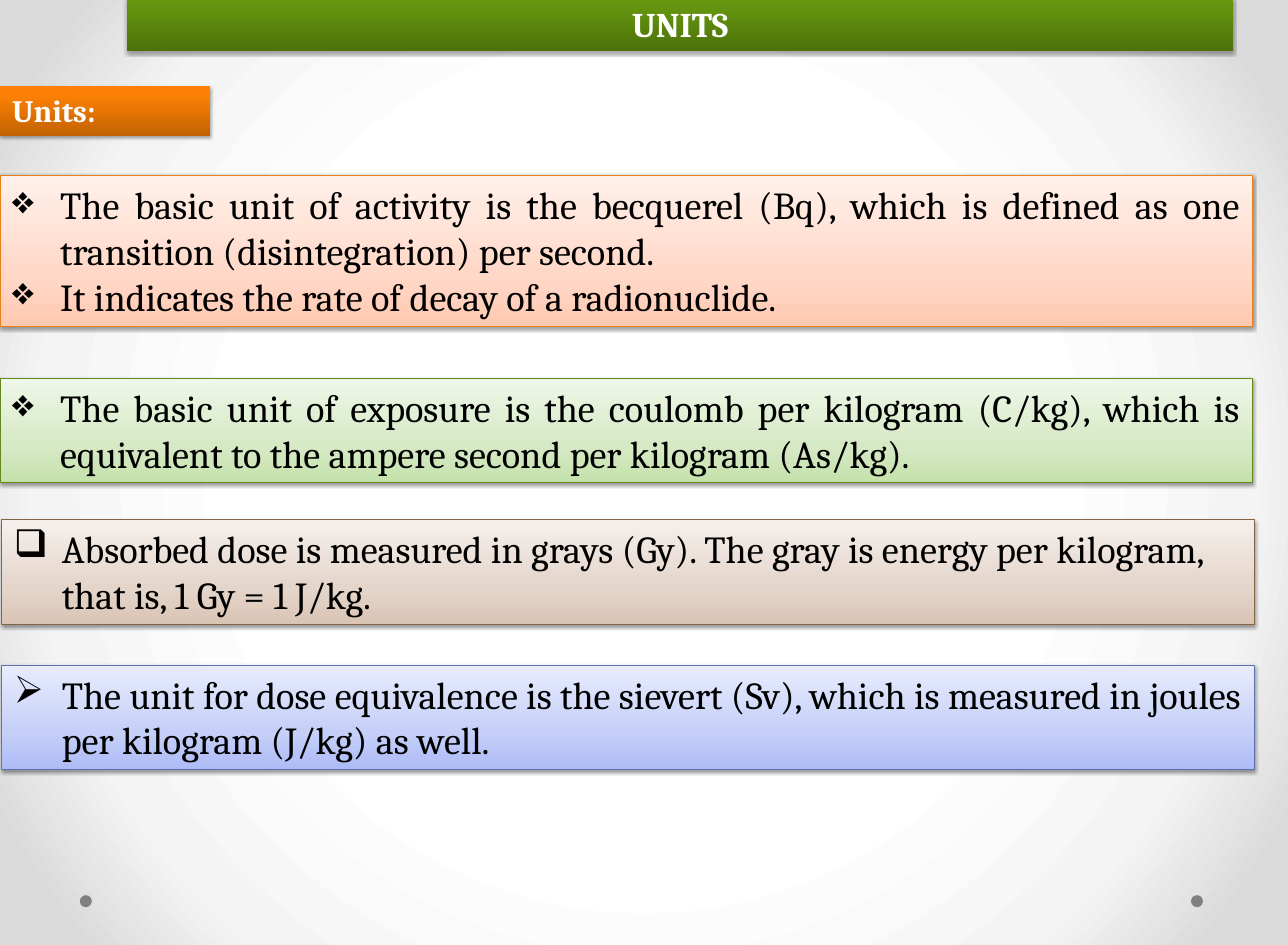
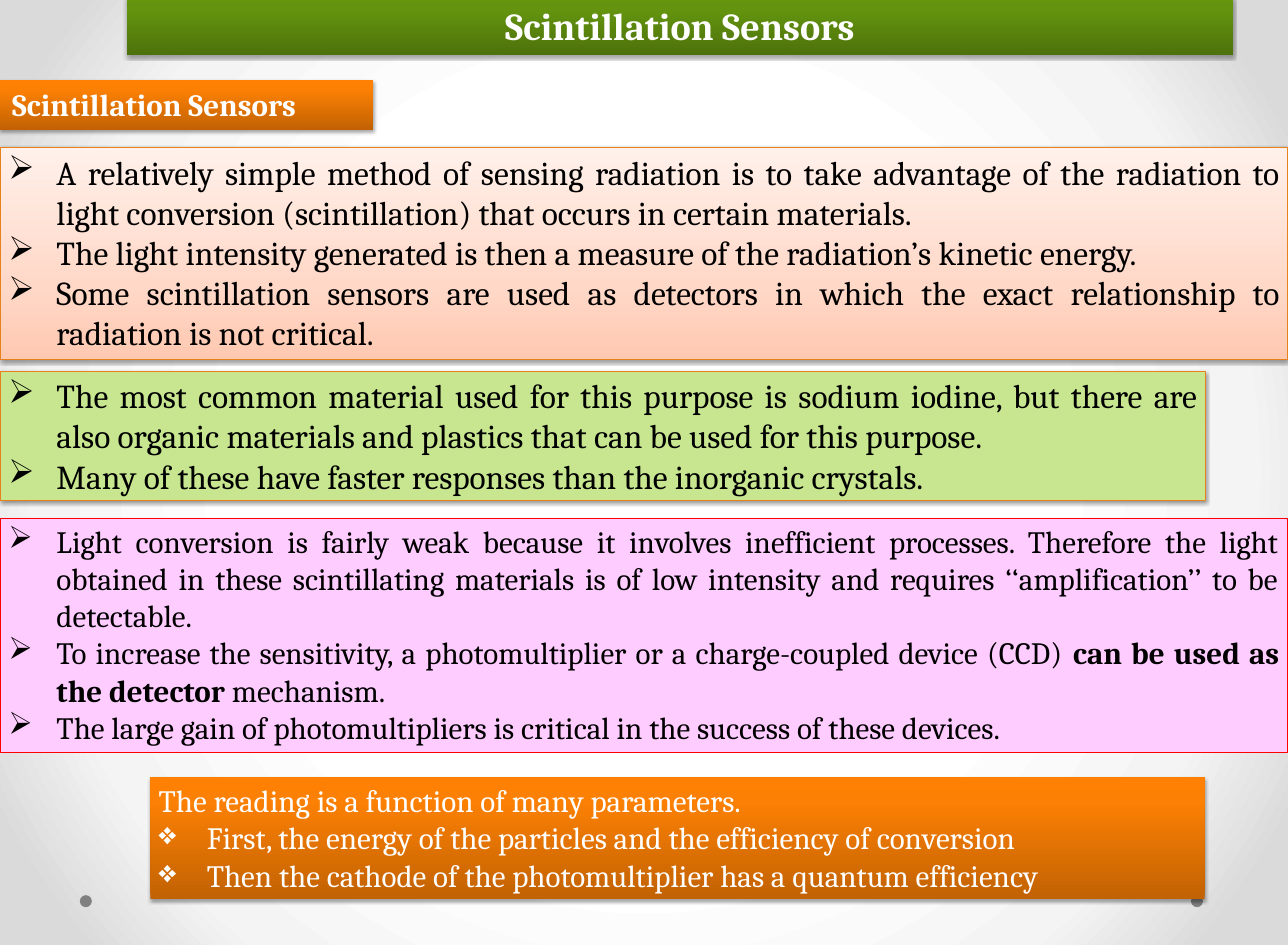
from dataclasses import dataclass
from typing import Optional

from lxml.etree import SubElement
from pptx import Presentation
from pptx.dml.color import RGBColor
from pptx.enum.shapes import MSO_SHAPE
from pptx.enum.text import MSO_ANCHOR, MSO_AUTO_SIZE, PP_ALIGN
from pptx.oxml.ns import qn
from pptx.util import Emu, Inches, Pt

SLIDE_WIDTH, SLIDE_HEIGHT = Inches(15), Inches(11)
COLUMNS, ROWS = 150, 110
FONT = "Cambria"
BLACK, WHITE, DOT_GREY = "000000", "FFFFFF", "808080"
HANGING = Inches(0.56)
DIAMOND, SQUARE, ARROW = "❖", "❑", "➢"
TINT_STOPS, BAND_STOPS, BACKDROP_STOPS = (0, 35, 100), (0, 80, 100), (50, 76, 92)
BACKDROP_COLOURS = ("FFFFFF", "F4F4F4", "DADADA")


@dataclass(frozen=True)
class Shadow:
    opacity: int
    blur: float
    distance: float


BAND_SHADOW = Shadow(35, 3.1, 1.8)
PANEL_SHADOW = Shadow(38, 3.1, 1.6)


@dataclass(frozen=True)
class Look:
    """One colour gives a plain fill, several a gradient from bottom to top."""
    colours: tuple[str, ...]
    stops: tuple[int, ...] = TINT_STOPS
    line: Optional[str] = None
    shadow: Optional[Shadow] = PANEL_SHADOW
    text: str = BLACK


GREEN_BAND = Look(("4D720B", "64940F", "65970C"), BAND_STOPS, None, BAND_SHADOW, WHITE)
ORANGE_BAND = Look(("C26203", "FB8004", "FF8002"), BAND_STOPS, None, BAND_SHADOW, WHITE)
PEACH = Look(("FFC9B1", "FFD8C8", "FFF0EA"), line="E6811C")
GREEN = Look(("C5E1AB", "D6E9C5", "EFF7E9"), line="62891C")
BROWN = Look(("DAC4B4", "E4D5CB", "F5EFEB"), line="836445")
BLUE = Look(("ADBBF6", "C5CFF8", "E8ECFD"), line="5C72B2")
LIME = Look(("C7E68F",), line="E6811C")
PINK = Look(("FFCCFF",), line="FF0000", shadow=None)


@dataclass(frozen=True)
class Panel:
    """Place in grid cells; ** encloses bold words in a line."""
    left: float
    top: float
    width: float
    height: float
    look: Look
    size: int
    lines: tuple[str, ...]
    bullet: Optional[str] = None
    intro: Optional[str] = None
    align: PP_ALIGN = PP_ALIGN.JUSTIFY
    bold: bool = False
    roomy: bool = True


@dataclass(frozen=True)
class Page:
    title: str
    title_size: int
    title_height: float
    topic: str
    topic_top: float
    topic_width: float
    panels: tuple[Panel, ...]


PAGES = (
    Page("UNITS", 29, 6.3, "Units:", 10, 24.5, (
        Panel(0, 20.4, 145.9, 17.6, PEACH, 32, (
            "The basic unit of activity is the becquerel (Bq), which is defined as one "
            "transition (disintegration) per second.",
            "It indicates the rate of decay of a radionuclide.",
        ), DIAMOND),
        Panel(0, 44, 145.9, 12.2, GREEN, 32, (
            "The basic unit of exposure is the coulomb per kilogram (C/kg), which is "
            "equivalent to the ampere second per kilogram (As/kg).",
        ), DIAMOND),
        Panel(0.2, 60.5, 145.9, 12.2, BROWN, 32, (
            "Absorbed dose is measured in grays (Gy). The gray is energy per kilogram, "
            "that is, 1 Gy = 1 J/kg.",
        ), SQUARE, align=PP_ALIGN.LEFT),
        Panel(0.2, 77.4, 145.9, 12.2, BLUE, 32, (
            "The unit for dose equivalence is the sievert (Sv), which is measured in "
            "joules per kilogram (J/kg) as well.",
        ), ARROW),
    )),
    Page("Scintillation Sensors", 32, 6.8, "Scintillation Sensors", 9.3, 43.5, (
        Panel(0, 17.2, 150, 24.6, PEACH, 28, (
            "A relatively simple method of sensing radiation is to take advantage of the "
            "radiation to light conversion (scintillation) that occurs in certain materials.",
            "The light intensity generated is then a measure of the radiation’s kinetic energy.",
            "Some scintillation sensors are used as detectors in which the exact "
            "relationship to radiation is not critical.",
        ), ARROW, roomy=False),
        Panel(0, 43.2, 140.4, 15.1, LIME, 28, (
            "The most common material used for this purpose is sodium iodine, but there are "
            "also organic materials and plastics that can be used for this purpose.",
            "Many of these have faster responses than the inorganic crystals.",
        ), ARROW, roomy=False),
        Panel(0, 60.3, 150, 27.3, PINK, 26, (
            "Light conversion is fairly weak because it involves inefficient processes. "
            "Therefore the light obtained in these scintillating materials is of low "
            "intensity and requires ‘‘amplification’’ to be detectable.",
            "To increase the sensitivity, a photomultiplier or a charge-coupled device "
            "(CCD) **can be used as the detector **mechanism.",
            "The large gain of photomultipliers is critical in the success of these devices.",
        ), ARROW, roomy=False),
        Panel(17.5, 90.5, 122.8, 14.1, ORANGE_BAND, 26, (
            "First, the energy of the particles and the efficiency of conversion",
            "Then the cathode of the photomultiplier has a quantum efficiency",
        ), DIAMOND, "The reading is a function of many parameters.", roomy=False),
    )),
)


def rgb(colour: str) -> RGBColor:
    return RGBColor.from_string(colour)


def column(count: float) -> Emu:
    return Emu(round(SLIDE_WIDTH * count / COLUMNS))


def row(count: float) -> Emu:
    return Emu(round(SLIDE_HEIGHT * count / ROWS))


def set_gradient(fill, holder, colours: tuple[str, ...], stops: tuple[int, ...],
                 radial: bool = False) -> None:
    """Fill upwards, or outwards from the centre when radial."""
    fill.gradient()
    gradient = holder.find(".//" + qn("a:gradFill"))
    for child in list(gradient):
        gradient.remove(child)
    stop_list = SubElement(gradient, qn("a:gsLst"))
    for colour, stop in zip(colours, stops):
        entry = SubElement(stop_list, qn("a:gs"), pos=str(stop * 1000))
        SubElement(entry, qn("a:srgbClr"), val=colour)
    if radial:
        centre = SubElement(gradient, qn("a:path"), path="circle")
        SubElement(centre, qn("a:fillToRect"), l="50000", t="50000", r="50000", b="50000")
    else:
        SubElement(gradient, qn("a:lin"), ang="16200000", scaled="0")


def add_shadow(shape, shadow: Shadow) -> None:
    effects = shape._element.spPr.find(qn("a:effectLst"))
    outer = SubElement(effects, qn("a:outerShdw"), blurRad=str(Pt(shadow.blur)),
                       dist=str(Pt(shadow.distance)), dir="5400000", rotWithShape="0")
    colour = SubElement(outer, qn("a:srgbClr"), val=BLACK)
    SubElement(colour, qn("a:alpha"), val=str(shadow.opacity * 1000))


def apply_look(shape, look: Look) -> None:
    if len(look.colours) > 1:
        set_gradient(shape.fill, shape._element.spPr, look.colours, look.stops)
    else:
        shape.fill.solid()
        shape.fill.fore_color.rgb = rgb(look.colours[0])
    if look.line:
        shape.line.color.rgb = rgb(look.line)
        shape.line.width = Pt(0.75)
    else:
        shape.line.fill.background()
    shape.shadow.inherit = False
    if look.shadow:
        add_shadow(shape, look.shadow)


def hang(paragraph, bullet: Optional[str]) -> None:
    """Indent all lines but the first, with a bullet if there is one."""
    properties = paragraph._p.get_or_add_pPr()
    properties.set("marL", str(HANGING))
    properties.set("indent", str(-HANGING))
    if bullet:
        mark = SubElement(properties, qn("a:buChar"), char=bullet)
        properties.insert(0, mark)


def write_line(paragraph, line: str, panel: Panel) -> None:
    paragraph.alignment = panel.align
    font = paragraph.font
    font.name, font.size, font.bold = FONT, Pt(panel.size), panel.bold
    font.color.rgb = rgb(panel.look.text)
    for index, words in enumerate(line.split("**")):
        run = paragraph.add_run()
        run.text = words
        if index % 2:
            run.font.bold = True


def draw_panel(slide, panel: Panel) -> None:
    shape = slide.shapes.add_shape(MSO_SHAPE.RECTANGLE, column(panel.left), row(panel.top),
                                   column(panel.width), row(panel.height))
    apply_look(shape, panel.look)
    frame = shape.text_frame
    frame.word_wrap = True
    frame.auto_size = MSO_AUTO_SIZE.SHAPE_TO_FIT_TEXT
    frame.vertical_anchor = MSO_ANCHOR.TOP
    side, edge = (0.14, 0.07) if panel.roomy else (0.1, 0.05)
    frame.margin_left = frame.margin_right = Inches(side)
    frame.margin_top = frame.margin_bottom = Inches(edge)
    entries = [(line, panel.bullet) for line in panel.lines]
    if panel.intro:
        entries.insert(0, (panel.intro, None))
    for index, (line, bullet) in enumerate(entries):
        paragraph = frame.add_paragraph() if index else frame.paragraphs[0]
        write_line(paragraph, line, panel)
        if panel.bullet:
            hang(paragraph, bullet)


def draw_corner_dots(slide) -> None:
    dot_look = Look((DOT_GREY,), shadow=None)
    for left in (138.7, 9.3):
        dot = slide.shapes.add_shape(MSO_SHAPE.OVAL, column(left), row(104.2),
                                     column(1.4), row(1.4))
        apply_look(dot, dot_look)


def draw_page(presentation, page: Page) -> None:
    slide = presentation.slides.add_slide(presentation.slide_layouts[6])
    draw_corner_dots(slide)
    title = Panel(14.8, -0.4, 128.8, page.title_height, GREEN_BAND, page.title_size,
                  (page.title,), align=PP_ALIGN.CENTER, bold=True)
    topic = Panel(0, page.topic_top, page.topic_width, 5.8, ORANGE_BAND, 26,
                  (page.topic,), align=PP_ALIGN.LEFT, bold=True)
    for panel in (title, topic, *page.panels):
        draw_panel(slide, panel)


def main() -> None:
    presentation = Presentation()
    presentation.slide_width, presentation.slide_height = SLIDE_WIDTH, SLIDE_HEIGHT
    master = presentation.slide_master
    set_gradient(master.background.fill, master._element, BACKDROP_COLOURS,
                 BACKDROP_STOPS, radial=True)
    for page in PAGES:
        draw_page(presentation, page)
    presentation.save("out.pptx")


if __name__ == "__main__":
    main()
